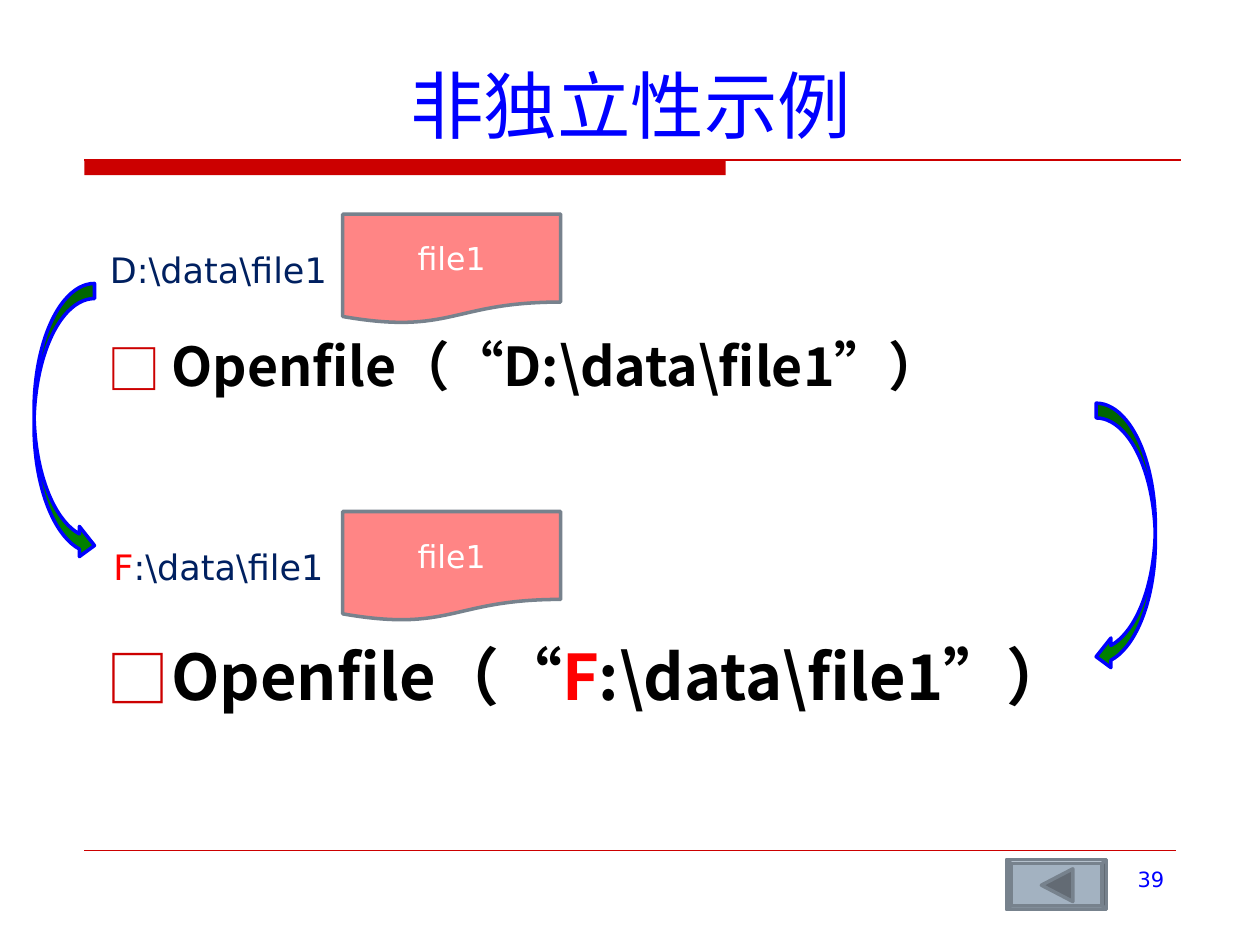
from pptx import Presentation
from pptx.dml.color import RGBColor
from pptx.enum.shapes import MSO_CONNECTOR, MSO_SHAPE
from pptx.enum.text import MSO_ANCHOR, MSO_AUTO_SIZE, PP_ALIGN
from pptx.oxml.ns import qn
from pptx.util import Inches, Pt
from lxml.etree import SubElement

COLORS = {"red": "CC0000", "blue": "0000FF", "black": "000000", "accent": "FF0000",
          "navy": "002060", "white": "FFFFFF", "file": "FF8585", "gray": "77828D",
          "green": "008000", "button": "A3B2C1", "dark": "636B74"}
CJK, SANS = "Noto Sans CJK SC", "DejaVu Sans"


def write(sp, runs, size, font, align, anchor=MSO_ANCHOR.TOP, bold=False):
    tf = sp.text_frame
    tf.word_wrap = True
    tf.auto_size = MSO_AUTO_SIZE.NONE
    tf.vertical_anchor = anchor
    tf.margin_left = tf.margin_right = Inches(0.1)
    tf.margin_top = tf.margin_bottom = Inches(0.05)
    p = tf.paragraphs[0]
    p.alignment = align
    for text, color in runs:
        r = p.add_run()
        r.text = text
        r.font.size = Pt(size)
        r.font.bold = bold
        r.font.name = font
        r.font.color.rgb = RGBColor.from_string(COLORS[color])
        SubElement(r._r.get_or_add_rPr(), qn("a:ea")).set("typeface", font)
    return p


def draw(shapes, kind, box, fill, line=None, width=2):
    sp = shapes.add_shape(kind, *[Inches(v) for v in box])
    sp.shadow.inherit = False
    sp.fill.solid()
    sp.fill.fore_color.rgb = RGBColor.from_string(COLORS[fill])
    if line:
        sp.line.color.rgb = RGBColor.from_string(COLORS[line])
        sp.line.width = Pt(width)
    else:
        sp.line.fill.background()
    return sp


prs = Presentation()
prs.slide_width, prs.slide_height = Inches(10), Inches(7.5)
s = prs.slides.add_slide(prs.slide_layouts[1])

draw(s.shapes, MSO_SHAPE.RECTANGLE, (0.67, 1.27, 5.09, 0.12), "red")
for y, right, width in [(1.27, 9.37, 0.75), (6.75, 9.33, 0.25)]:
    rule = s.shapes.add_connector(MSO_CONNECTOR.STRAIGHT, Inches(0.67), Inches(y),
                                  Inches(right), Inches(y))
    rule.line.color.rgb = RGBColor.from_string(COLORS["red"])
    rule.line.width = Pt(width)
    SubElement(rule._element.spPr, qn("a:effectLst"))

title = s.shapes.title
title.left, title.top, title.width, title.height = [Inches(v) for v in (0.63, 0.33, 8.75, 0.9)]
write(title, [("非独立性示例", "blue")], 42, CJK, PP_ALIGN.CENTER, MSO_ANCHOR.BOTTOM)

body = s.placeholders[1]
body.left, body.top, body.width, body.height = [Inches(v) for v in (0.75, 2.65, 8.16, 0.94)]
second = s.shapes.add_textbox(Inches(0.75), Inches(5.01), Inches(8.16), Inches(0.94))
calls = [
    (body, 30.6, 0.9, [("Openfile（“D:\\data\\file1”）", "black")]),
    (second, 36, 1.0, [("Openfile（“", "black"), ("F", "accent"),
                       (":\\data\\file1”）", "black")]),
]
for sp, size, spacing, runs in calls:
    p = write(sp, runs, size, CJK, PP_ALIGN.LEFT, bold=True)
    p.line_spacing = spacing
    p.space_before = Pt(9)
    pPr = p._p.get_or_add_pPr()
    pPr.set("marL", str(Inches(0.51)))
    pPr.set("indent", str(-Inches(0.51)))
    bullet_color = SubElement(pPr, qn("a:buClr"))
    SubElement(bullet_color, qn("a:srgbClr")).set("val", COLORS["red"])
    SubElement(pPr, qn("a:buFont")).set("typeface", CJK)
    SubElement(pPr, qn("a:buChar")).set("char", "□")

files = [(1.7, [("D:\\data\\file1", "navy")]),
         (4.06, [("F", "accent"), (":\\data\\file1", "navy")])]
for top, runs in files:
    group = s.shapes.add_group_shape()
    doc = draw(group.shapes, MSO_SHAPE.FLOWCHART_DOCUMENT, (2.72, top, 1.73, 0.87), "file", "gray")
    write(doc, [("file1", "white")], 18, SANS, PP_ALIGN.CENTER, MSO_ANCHOR.MIDDLE)
    label = group.shapes.add_textbox(Inches(0.67), Inches(top + 0.08), Inches(2.13), Inches(0.71))
    write(label, runs, 20, SANS, PP_ALIGN.CENTER, MSO_ANCHOR.MIDDLE)

draw(s.shapes, MSO_SHAPE.CURVED_RIGHT_ARROW, (0.27, 2.25, 0.48, 2.2), "green", "blue")
draw(s.shapes, MSO_SHAPE.CURVED_LEFT_ARROW, (8.7, 3.2, 0.47, 2.13), "green", "blue")

number = s.shapes.add_textbox(Inches(7.17), Inches(6.83), Inches(2.17), Inches(0.52))
write(number, [("39", "blue")], 12, SANS, PP_ALIGN.RIGHT)

button = draw(s.shapes, MSO_SHAPE.BEVEL, (7.99, 6.82, 0.79, 0.4), "button", "gray")
button.adjustments[0] = 0.08
back = draw(s.shapes, MSO_SHAPE.ISOSCELES_TRIANGLE, (8.26, 6.9, 0.26, 0.25), "dark", "gray")
back.rotation = 270

prs.save("out.pptx")
